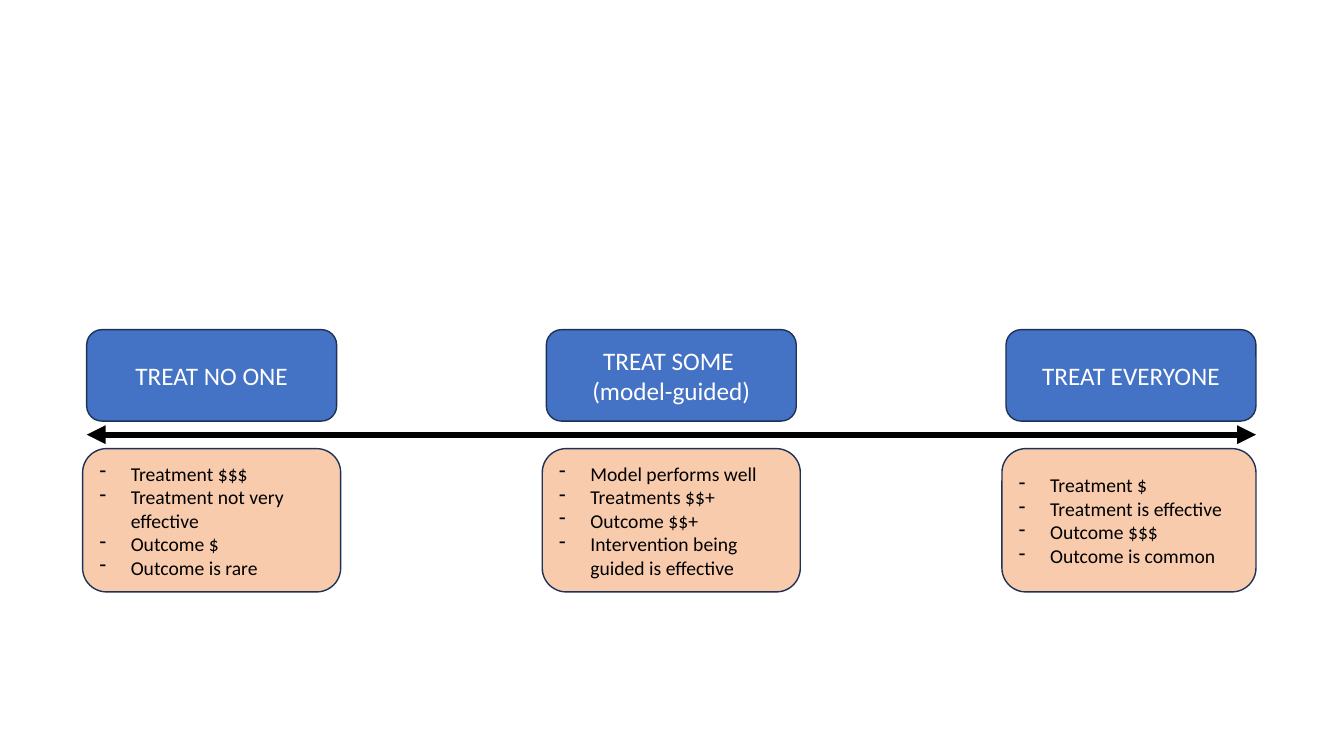
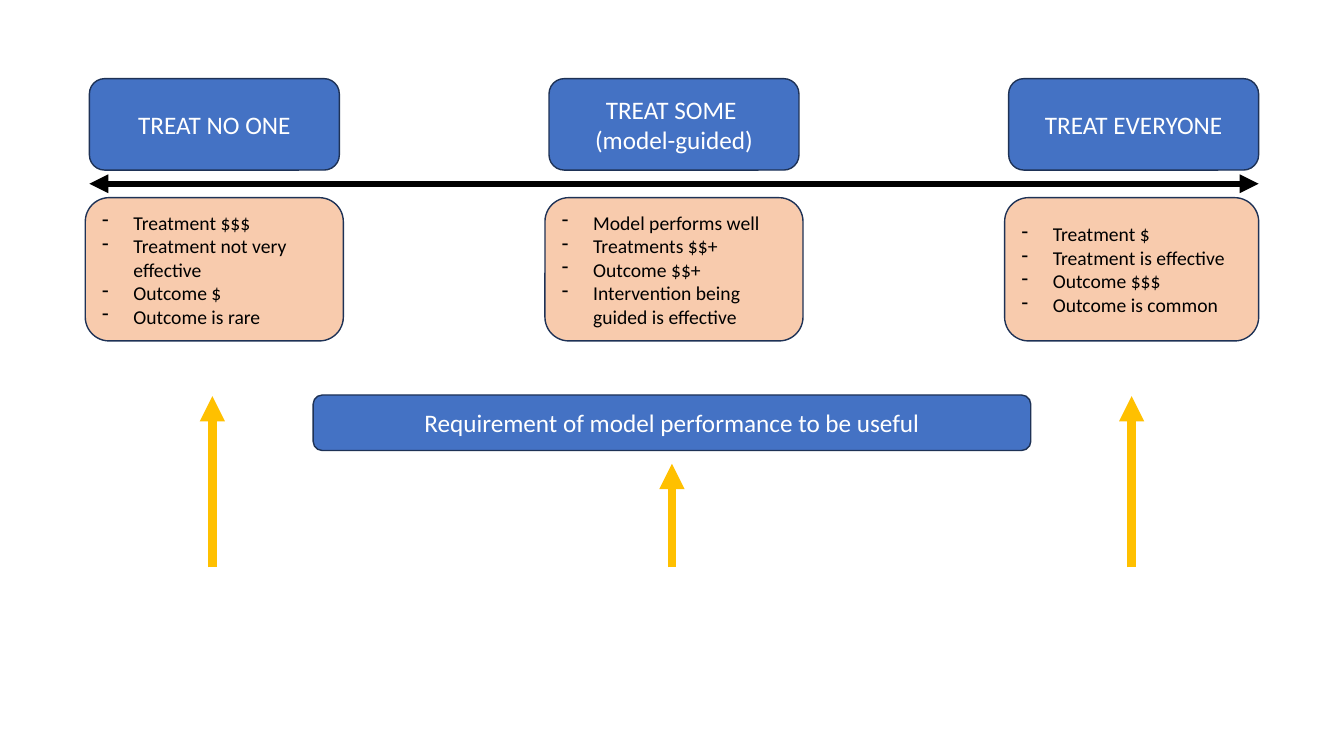
"""Build two slides on when a treatment-guiding model is useful."""
import dataclasses

import lxml.etree
import pptx
import pptx.dml.color
import pptx.enum.shapes
import pptx.enum.text
import pptx.oxml.ns
import pptx.shapes.autoshape
import pptx.slide
import pptx.util

BLUE = pptx.dml.color.RGBColor(0x44, 0x72, 0xC4)
PEACH = pptx.dml.color.RGBColor(0xF8, 0xCB, 0xAD)
NAVY = pptx.dml.color.RGBColor(0x1E, 0x32, 0x56)
GOLD = pptx.dml.color.RGBColor(0xFF, 0xC0, 0x00)
BLACK = pptx.dml.color.RGBColor(0x00, 0x00, 0x00)
WHITE = pptx.dml.color.RGBColor(0xFF, 0xFF, 0xFF)

FONT = "Calibri"
SLIDE_WIDTH = pptx.util.Inches(13.333)
SLIDE_HEIGHT = pptx.util.Inches(7.5)
COLUMN = SLIDE_WIDTH / 100
ROW = SLIDE_HEIGHT / 100
BULLET_INDENT = pptx.util.Inches(0.31)

PITCH = 34.2
HEADING_WIDTH = 18.6
HEADING_HEIGHT = 12.1
AXIS_DROP = 13.9
CARD_DROP = 15.75
CARD_HEIGHT = 18.95
CARD_OUTSET = 0.3
BANNER_WIDTH = 53.4
ARROW_BOTTOM = 75.05


@dataclasses.dataclass(frozen=True)
class Area:
    """A rectangle in grid columns and rows."""

    left: float
    top: float
    width: float
    height: float


@dataclasses.dataclass(frozen=True)
class Strategy:
    """A treatment strategy and the conditions that favour it."""

    heading: str
    conditions: tuple[str, ...]
    card_width: float
    arrow_top: float


STRATEGIES = (
    Strategy(
        "TREAT NO ONE",
        ("Treatment $$$", "Treatment not very effective", "Outcome $", "Outcome is rare"),
        19.2,
        52.4,
    ),
    Strategy(
        "TREAT SOME \v(model-guided)",
        ("Model performs well", "Treatments $$+", "Outcome $$+",
         "Intervention being guided is effective"),
        19.2,
        61.35,
    ),
    Strategy(
        "TREAT EVERYONE",
        ("Treatment $", "Treatment is effective", "Outcome $$$", "Outcome is common"),
        18.9,
        52.4,
    ),
)


def add_box(
    slide: pptx.slide.Slide,
    area: Area,
    text: str,
    fill: pptx.dml.color.RGBColor = BLUE,
    ink: pptx.dml.color.RGBColor = WHITE,
    size: int = 18,
    align: pptx.enum.text.PP_ALIGN = pptx.enum.text.PP_ALIGN.CENTER,
) -> pptx.shapes.autoshape.Shape:
    """Draw an outlined rounded box holding text."""
    box = slide.shapes.add_shape(
        pptx.enum.shapes.MSO_SHAPE.ROUNDED_RECTANGLE,
        round(area.left * COLUMN),
        round(area.top * ROW),
        round(area.width * COLUMN),
        round(area.height * ROW),
    )
    box.shadow.inherit = False
    box.fill.solid()
    box.fill.fore_color.rgb = fill
    box.line.color.rgb = NAVY
    box.line.width = pptx.util.Pt(1)
    box.text_frame.word_wrap = True
    box.text_frame.vertical_anchor = pptx.enum.text.MSO_ANCHOR.MIDDLE
    box.text_frame.text = text
    for paragraph in box.text_frame.paragraphs:
        paragraph.alignment = align
        for run in paragraph.runs:
            run.font.name = FONT
            run.font.size = pptx.util.Pt(size)
            run.font.color.rgb = ink
    return box


def add_card(slide: pptx.slide.Slide, area: Area, conditions: tuple[str, ...]) -> None:
    """Draw a box with a dashed list of conditions."""
    card = add_box(
        slide, area, "\n".join(conditions), PEACH, BLACK, 14, pptx.enum.text.PP_ALIGN.LEFT
    )
    for paragraph in card.text_frame.paragraphs:
        properties = paragraph._p.get_or_add_pPr()
        properties.set("marL", str(BULLET_INDENT))
        properties.set("indent", str(-BULLET_INDENT))
        lxml.etree.SubElement(properties, pptx.oxml.ns.qn("a:buFontTx"))
        lxml.etree.SubElement(properties, pptx.oxml.ns.qn("a:buChar"), char="-")


def add_arrow(
    slide: pptx.slide.Slide,
    start: tuple[float, float],
    end: tuple[float, float],
    color: pptx.dml.color.RGBColor,
    weight: float,
    tips: tuple[str, ...],
) -> None:
    """Draw a straight line with triangular tips."""
    arrow = slide.shapes.add_connector(
        pptx.enum.shapes.MSO_CONNECTOR.STRAIGHT,
        round(start[0] * COLUMN),
        round(start[1] * ROW),
        round(end[0] * COLUMN),
        round(end[1] * ROW),
    )
    arrow.line.color.rgb = color
    arrow.line.width = pptx.util.Pt(weight)
    properties = arrow.element.spPr
    outline = properties.find(pptx.oxml.ns.qn("a:ln"))
    for tip in tips:
        lxml.etree.SubElement(outline, pptx.oxml.ns.qn(tip), type="triangle")
    lxml.etree.SubElement(properties, pptx.oxml.ns.qn("a:effectLst"))


def add_spectrum(slide: pptx.slide.Slide, left: float, top: float) -> None:
    """Draw the strategies along a two-headed axis."""
    axis_row = top + AXIS_DROP
    axis_end = left + PITCH * (len(STRATEGIES) - 1) + HEADING_WIDTH
    add_arrow(
        slide, (left, axis_row), (axis_end, axis_row), BLACK, 4.5, ("a:headEnd", "a:tailEnd")
    )
    for position, strategy in enumerate(STRATEGIES):
        column = left + position * PITCH
        add_box(slide, Area(column, top, HEADING_WIDTH, HEADING_HEIGHT), strategy.heading)
        card_area = Area(
            column - CARD_OUTSET, top + CARD_DROP, strategy.card_width, CARD_HEIGHT
        )
        add_card(slide, card_area, strategy.conditions)


def add_requirement(slide: pptx.slide.Slide) -> None:
    """Draw the performance banner and the arrows showing its level."""
    for position, strategy in enumerate(STRATEGIES):
        column = 50 + (position - 1) * PITCH
        add_arrow(
            slide,
            (column, ARROW_BOTTOM),
            (column, strategy.arrow_top),
            GOLD,
            6,
            ("a:tailEnd",),
        )
    banner_area = Area((100 - BANNER_WIDTH) / 2, 52.25, BANNER_WIDTH, 7.35)
    add_box(slide, banner_area, "Requirement of model performance to be useful")


def main() -> None:
    """Build and save the presentation."""
    deck = pptx.Presentation()
    deck.slide_width = SLIDE_WIDTH
    deck.slide_height = SLIDE_HEIGHT
    blank = deck.slide_layouts[6]
    add_spectrum(deck.slides.add_slide(blank), 6.45, 43.6)
    requirement_slide = deck.slides.add_slide(blank)
    add_spectrum(requirement_slide, 6.65, 10.4)
    add_requirement(requirement_slide)
    deck.save("out.pptx")


main()
